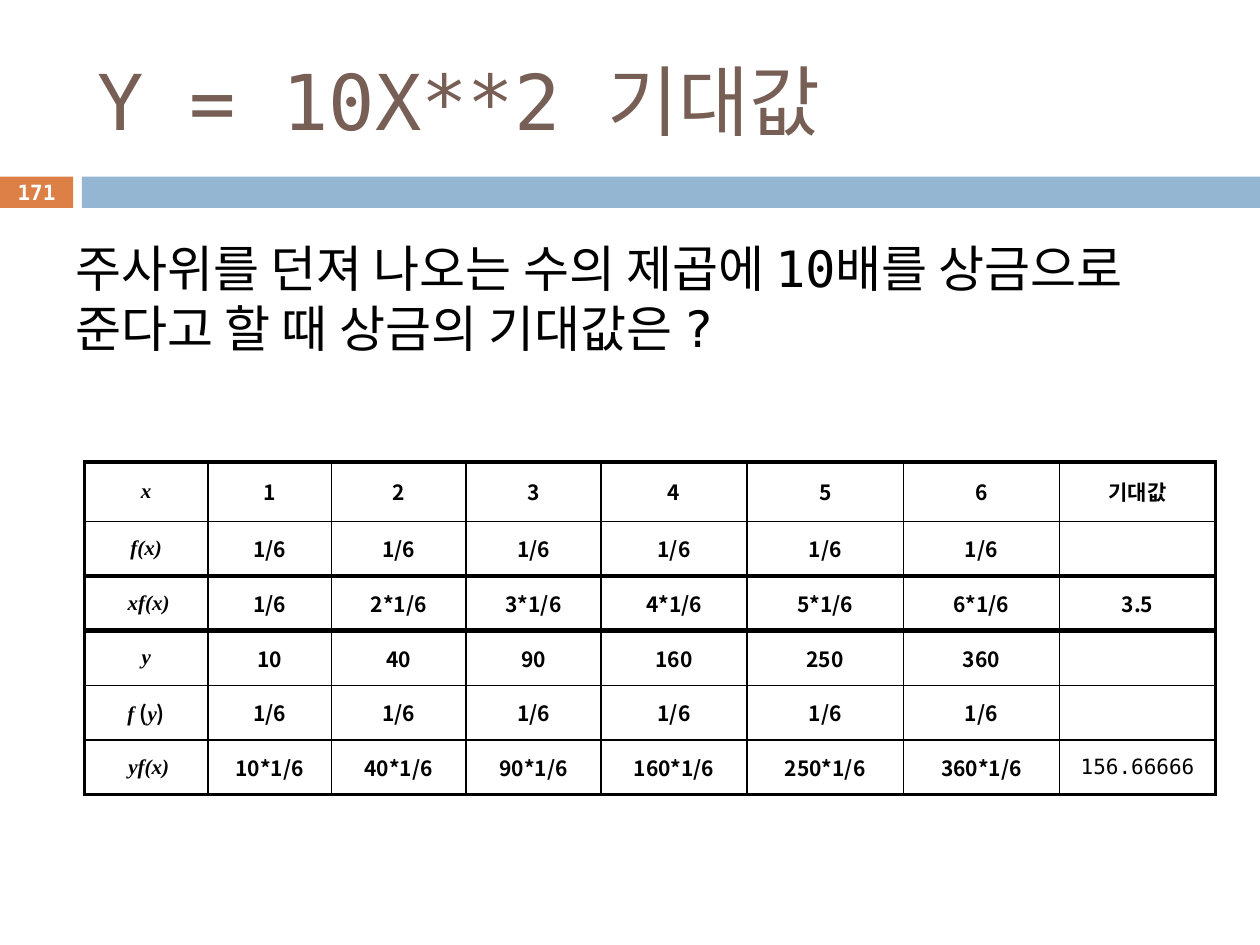
"""Build the slide on the expected value of a dice prize."""
from typing import NamedTuple

from lxml import etree
from pptx import Presentation
from pptx import util as u
from pptx.dml.color import RGBColor
from pptx.enum import shapes, text
from pptx.oxml import ns

WIDE, HIGH = 10, 7.5
MONO, HANGUL, ROMAN = "DejaVu Sans Mono", "Noto Sans CJK KR", "Times New Roman"
BLACK = RGBColor(0x00, 0x00, 0x00)
WHITE = RGBColor(0xFF, 0xFF, 0xFF)
BROWN = RGBColor(0x77, 0x5F, 0x55)
AMBER = RGBColor(0xDD, 0x80, 0x47)
BLUE = RGBColor(0x94, 0xB6, 0xD2)
LEFT, MID = text.PP_ALIGN.LEFT, text.PP_ALIGN.CENTER
TOP, CORE = text.MSO_ANCHOR.TOP, text.MSO_ANCHOR.MIDDLE

COLS = (0.98, 0.98, 1.07, 1.07, 1.16, 1.24, 1.24, 1.24)
ROWS = (0.47,) + (0.434,) * 5
RULES = (2.25, 1, 3, 3, 1, 1, 2.25)
EDGES = (2.25,) + (1,) * 7 + (2.25,)


class Box(NamedTuple):
    """Hold a frame as shares of the slide's size."""
    x: float
    y: float
    w: float
    h: float

    def frame(self) -> tuple[int, ...]:
        """Return the frame as lengths."""
        return (u.Inches(self.x * WIDE), u.Inches(self.y * HIGH),
                u.Inches(self.w * WIDE), u.Inches(self.h * HIGH))


class Run(NamedTuple):
    """Hold a piece of text and its look."""
    words: str
    face: str = HANGUL
    size: float = 12
    ink: RGBColor = BLACK
    bold: bool = True
    slant: bool = False


class Row(NamedTuple):
    """Hold one table row: its label, values, result and label shift."""
    label: list[Run]
    values: list[str]
    total: list[Run]
    shift: float = 0


def term(words: str) -> Run:
    """Return a run in the look of a formula."""
    return Run(words, ROMAN, slant=True)


FACES = [str(n) for n in range(1, 7)]
PRIZES = [str(10 * n * n) for n in range(1, 7)]
ODDS = ["1/6"] * 6
GRID = [
    Row([term("x")], FACES, [Run("기대값")]),
    Row([term("f(x)")], ODDS, []),
    Row([term("xf(x)")], ["1/6"] + [f"{n}*1/6" for n in FACES[1:]],
        [Run("3.5")], 0.04),
    Row([term("y")], PRIZES, []),
    Row([term("f "), Run("("), term("y"), Run(")")], ODDS, []),
    Row([term("yf(x)")], [f"{n}*1/6" for n in PRIZES],
        [Run("156.66666", MONO, bold=False)], 0.04),
]


def write(frame, runs: list[Run], align=MID) -> None:
    """Write runs into the first paragraph of a text frame."""
    par = frame.paragraphs[0]
    par.alignment = align
    par.space_before = u.Pt(0)
    for item in runs:
        run = par.add_run()
        run.text = item.words
        font = run.font
        font.name, font.size = item.face, u.Pt(item.size)
        font.bold, font.italic = item.bold, item.slant
        font.color.rgb = item.ink
        east = etree.SubElement(run.font._element, ns.qn("a:ea"))
        east.set("typeface", HANGUL)


def place(shape, box: Box, run: Run, align=LEFT, anchor=CORE) -> None:
    """Move a text shape to its box and fill it."""
    shape.left, shape.top, shape.width, shape.height = box.frame()
    frame = shape.text_frame
    frame.word_wrap = True
    frame.auto_size = text.MSO_AUTO_SIZE.NONE
    frame.vertical_anchor = anchor
    write(frame, [run], align)


def bar(slide, box: Box, tint: RGBColor):
    """Draw a flat bar."""
    shape = slide.shapes.add_shape(shapes.MSO_SHAPE.RECTANGLE, *box.frame())
    shape.shadow.inherit = False
    shape.fill.solid()
    shape.fill.fore_color.rgb = tint
    shape.line.fill.background()
    return shape


def border(cell, row: int, col: int) -> None:
    """Rule the four sides of a cell."""
    props = cell._tc.get_or_add_tcPr()
    sides = (("L", EDGES[col]), ("R", EDGES[col + 1]),
             ("T", RULES[row]), ("B", RULES[row + 1]))
    for place_no, (side, width) in enumerate(sides):
        line = etree.Element(ns.qn(f"a:ln{side}"), w=str(u.Pt(width)))
        fill = etree.SubElement(line, ns.qn("a:solidFill"))
        etree.SubElement(fill, ns.qn("a:srgbClr"), val=str(BLACK))
        props.insert(place_no, line)


def chart(slide, box: Box) -> None:
    """Draw the table of values and odds."""
    table = slide.shapes.add_table(len(ROWS), len(COLS), *box.frame()).table
    table.first_row = table.horz_banding = False
    for col, width in zip(table.columns, COLS):
        col.width = u.Inches(width)
    for r, (row, height) in enumerate(zip(GRID, ROWS)):
        table.rows[r].height = u.Inches(height)
        cells = [row.label, *([Run(v)] for v in row.values), row.total]
        for c, runs in enumerate(cells):
            cell = table.cell(r, c)
            cell.fill.background()
            cell.vertical_anchor = CORE
            write(cell.text_frame, runs)
            border(cell, r, c)
        table.cell(r, 0).margin_left = u.Inches(0.1 + row.shift)


def main() -> None:
    """Build and save the slide."""
    deck = Presentation()
    deck.slide_width, deck.slide_height = u.Inches(WIDE), u.Inches(HIGH)
    slide = deck.slides.add_slide(deck.slide_layouts[1])
    title, body = slide.placeholders
    tab = Box(0, 0.187, 0.058, 0.033)
    badge = bar(slide, tab, AMBER)
    bar(slide, Box(0.065, 0.187, 0.935, 0.033), BLUE)
    frame = badge.text_frame
    frame.margin_left = frame.margin_right = 0
    frame.margin_top = frame.margin_bottom = 0
    place(badge, tab, Run("171", MONO, ink=WHITE), MID)
    place(title, Box(0.067, 0.033, 0.892, 0.144),
          Run("Y = 10X**2 기대값", MONO, 44, BROWN, False))
    par = body.text_frame.paragraphs[0]
    props = par._p.get_or_add_pPr()
    props.set("marL", "0")
    props.set("indent", "0")
    etree.SubElement(props, ns.qn("a:buNone"))
    place(body, Box(0.05, 0.245, 0.9, 0.39),
          Run("주사위를 던져 나오는 수의 제곱에 10배를 상금으로 준다고 할 때 "
              "상금의 기대값은 ?", MONO, 28.6, BLACK, False), anchor=TOP)
    chart(slide, Box(0.067, 0.489, 0.898, 0.352))
    deck.save("out.pptx")


if __name__ == "__main__":
    main()
